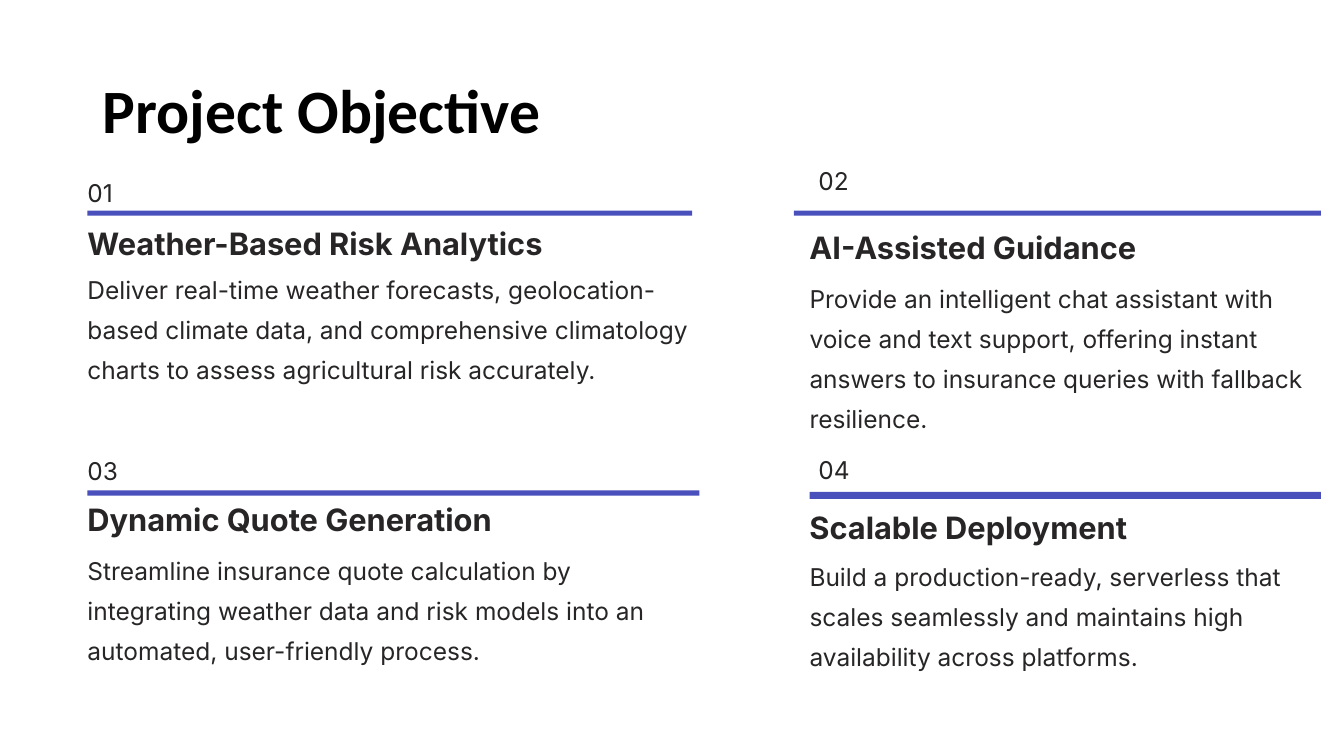
from dataclasses import dataclass

from pptx import Presentation
from pptx.dml.color import RGBColor
from pptx.enum.shapes import MSO_SHAPE as Preset
from pptx.enum.text import MSO_ANCHOR as Anchor, PP_ALIGN as Align
from pptx.util import Inches, Pt

SLIDE_WIDTH, SLIDE_HEIGHT = Inches(13.33), Inches(7.5)
COLUMN, ROW = SLIDE_WIDTH / 100, SLIDE_HEIGHT / 100


@dataclass(frozen=True)
class TextStyle:
    """Type settings of one text role."""
    font: str
    size: float
    color: RGBColor
    bold: bool
    leading: object


@dataclass(frozen=True)
class Theme:
    """Colours and type sizes of the slide."""
    ink = RGBColor(0x27, 0x25, 0x25)
    accent = RGBColor(0x49, 0x50, 0xBC)
    title = TextStyle("Calibri", 44, RGBColor(0, 0, 0), True, 0.9)
    heading = TextStyle("Inter", 22, ink, True, Pt(27.5))
    body = TextStyle("Inter", 17.5, ink, False, Pt(28.5))


@dataclass(frozen=True)
class Objective:
    """One numbered objective, measured in columns and rows from its rule."""
    number: str
    heading: str
    body: str
    box: tuple
    heading_width: float
    number_rise: float
    heading_drop: float
    body_drop: float
    number_indent: float = 0
    rule_outdent: float = 0
    rule_height: float = 0.67


THEME = Theme()
LEFT_COLUMN, RIGHT_COLUMN = 6.51, 60.23

OBJECTIVES = [
    Objective("01", "Weather-Based Risk Analytics",
              "Deliver real-time weather forecasts, geolocation-based climate data, and "
              "comprehensive climatology charts to assess agricultural risk accurately.",
              (LEFT_COLUMN, 27.87, 45), 34.43, 5.73, 1.6, 7.13),
    Objective("02", "AI-Assisted Guidance",
              "Provide an intelligent chat assistant with voice and text support, offering "
              "instant answers to insurance queries with fallback resilience.",
              (RIGHT_COLUMN, 27.87, 38.05), 24.68, 7.33, 2.13, 8.33,
              number_indent=0.67, rule_outdent=1.15),
    Objective("03", "Dynamic Quote Generation",
              "Streamline insurance quote calculation by integrating weather data and risk "
              "models into an automated, user-friendly process.",
              (LEFT_COLUMN, 64.88, 45.53), 30.6, 5.95, 1.12, 7.3),
    Objective("04", "Scalable Deployment",
              "Build a production-ready, serverless that scales seamlessly and maintains "
              "high availability across platforms.",
              (RIGHT_COLUMN, 65.07, 38.05), 24, 6.27, 2, 7.87,
              number_indent=0.67, rule_height=0.93),
]


def grid_box(left, top, width, height):
    """Convert columns and rows to slide lengths."""
    return round(left * COLUMN), round(top * ROW), round(width * COLUMN), round(height * ROW)


def add_text(slide, box, words, style):
    """Place one styled paragraph in a box without margins."""
    frame = slide.shapes.add_textbox(*grid_box(*box)).text_frame
    frame.word_wrap = True
    frame.margin_left = frame.margin_right = frame.margin_top = frame.margin_bottom = 0
    frame.text = words
    paragraph = frame.paragraphs[0]
    paragraph.alignment = Align.LEFT
    paragraph.line_spacing = style.leading
    font = paragraph.runs[0].font
    font.name, font.size, font.bold = style.font, Pt(style.size), style.bold
    font.color.rgb = style.color
    return frame


def add_title(slide, box, words):
    """Place the slide title, centred vertically in its box."""
    frame = add_text(slide, box, words, THEME.title)
    frame.vertical_anchor = Anchor.MIDDLE
    frame.margin_left = frame.margin_right = Inches(0.1)


def add_rule(slide, box):
    """Draw the accent rule of an objective."""
    rule = slide.shapes.add_shape(Preset.RECTANGLE, *grid_box(*box))
    rule.shadow.inherit = False
    rule.fill.solid()
    rule.fill.fore_color.rgb = THEME.accent
    rule.line.fill.background()


def add_objective(slide, objective):
    """Place number, rule, heading and body relative to the objective's box."""
    left, top, width = objective.box
    add_text(slide, (left + objective.number_indent, top - objective.number_rise, 2.6, 4.13),
             objective.number, THEME.body)
    add_rule(slide, (left - objective.rule_outdent, top,
                     width + objective.rule_outdent, objective.rule_height))
    add_text(slide, (left, top + objective.heading_drop, objective.heading_width, 5.2),
             objective.heading, THEME.heading)
    add_text(slide, (left, top + objective.body_drop, width, 15.87),
             objective.body, THEME.body)


def main():
    """Build and save the slide."""
    deck = Presentation()
    deck.slide_width, deck.slide_height = SLIDE_WIDTH, SLIDE_HEIGHT
    slide = deck.slides.add_slide(deck.slide_layouts[6])
    add_title(slide, (6.9, 5.33, 86.25, 19.33), "Project Objective")
    for objective in OBJECTIVES:
        add_objective(slide, objective)
    deck.save("out.pptx")


if __name__ == "__main__":
    main()
